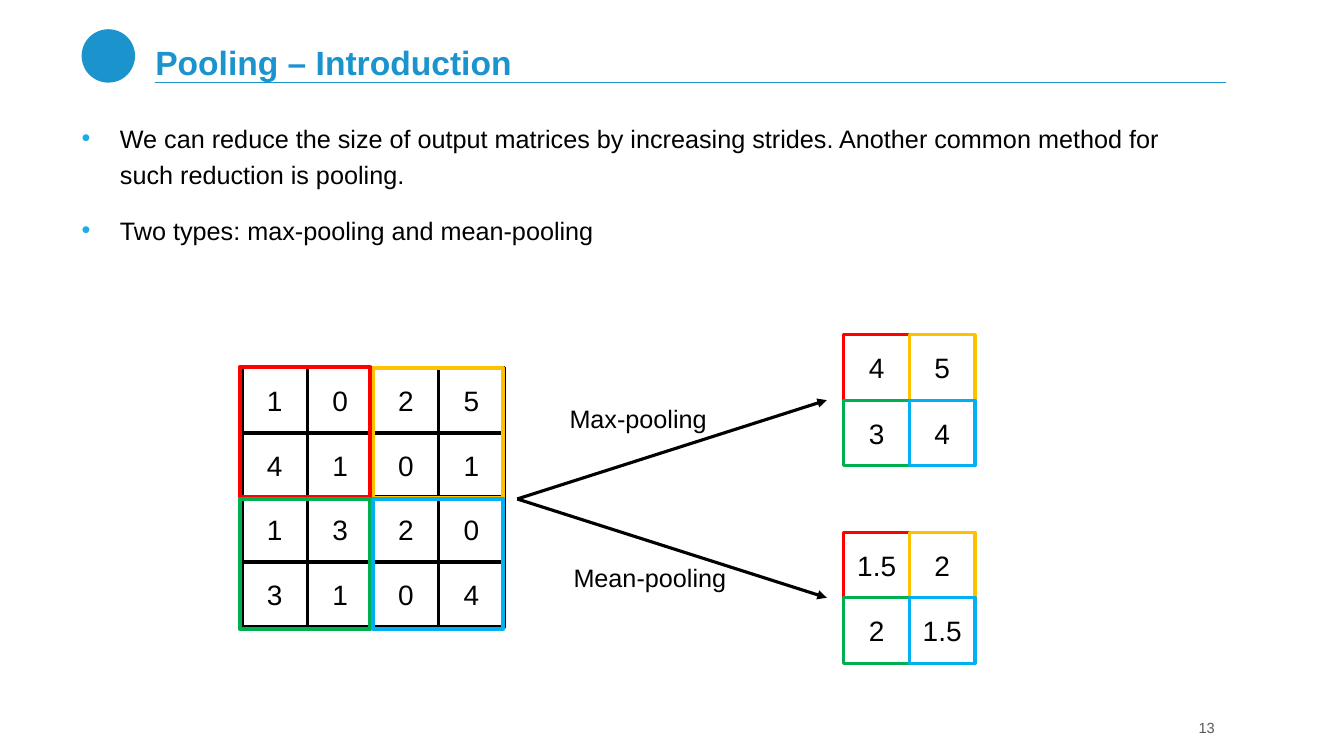
from dataclasses import dataclass

import pptx
import pptx.dml.color
import pptx.enum.shapes
import pptx.enum.text
import pptx.oxml
import pptx.oxml.ns
import pptx.util

PX = 9144  # EMU per px, 100 px to the inch
SHAPE = pptx.enum.shapes.MSO_SHAPE
ALIGN = pptx.enum.text.PP_ALIGN
ANCHOR = pptx.enum.text.MSO_ANCHOR


@dataclass(frozen=True)
class Theme:
    font: str = "Arial"
    accent: str = "1B94CD"
    bullet: str = "1CADE4"
    text: str = "000000"
    muted: str = "595959"
    red: str = "FF0000"
    amber: str = "FFC000"
    green: str = "00B050"
    blue: str = "00B0F0"
    title_size: float = 24
    body_size: float = 18
    cell_size: float = 20
    number_size: float = 10.5
    line: float = 2.25
    region_line: float = 3


T = Theme()
CELL = 65
ROW_PITCH = 64
REGION = 129
INPUT = [[1, 0, 2, 5], [4, 1, 0, 1], [1, 3, 2, 0], [3, 1, 0, 4]]
REGIONS = [(370, 365, T.amber), (238, 364, T.red), (238, 495, T.green), (370, 495, T.blue)]
QUADRANTS = [[T.red, T.amber], [T.green, T.blue]]
BULLETS = [
    "We can reduce the size of output matrices by increasing strides. "
    "Another common method for such reduction is pooling.",
    "Two types: max-pooling and mean-pooling",
]


def px(*lengths):
    return [pptx.util.Emu(n * PX) for n in lengths]


def rgb(color):
    return pptx.dml.color.RGBColor.from_string(color)


def xml(tag, attrs="", inner=""):
    return pptx.oxml.parse_xml(f"<a:{tag} {pptx.oxml.ns.nsdecls('a')} {attrs}>{inner}</a:{tag}>")


def write(p, text, size=T.body_size, color=T.text, bold=False, align=ALIGN.LEFT, spacing=None):
    p.alignment = align
    if spacing:
        p.line_spacing = spacing
    r = p.add_run()
    r.text = text
    r.font.name, r.font.size, r.font.bold = T.font, pptx.util.Pt(size), bold
    r.font.color.rgb = rgb(color)


def place(sp, left, top, width, height):
    sp.left, sp.top, sp.width, sp.height = px(left, top, width, height)


def add_title(s, text):
    sp = s.shapes.title
    place(sp, 154, 49, 1062, 32)
    tf = sp.text_frame
    tf.auto_size = pptx.enum.text.MSO_AUTO_SIZE.NONE
    tf.vertical_anchor = ANCHOR.BOTTOM
    tf.margin_left = tf.margin_right = tf.margin_top = tf.margin_bottom = 0
    write(tf.paragraphs[0], text, size=T.title_size, color=T.accent, bold=True, spacing=0.8)


def add_bullets(s, items):
    sp = s.placeholders[1]
    place(sp, 71, 111, 1145, 579)
    tf = sp.text_frame
    tf.auto_size = pptx.enum.text.MSO_AUTO_SIZE.NONE
    for i, item in enumerate(items):
        p = tf.add_paragraph() if i else tf.paragraphs[0]
        pPr = p._p.get_or_add_pPr()
        indent, = px(38)
        pPr.set("marL", str(indent))
        pPr.set("indent", str(-indent))
        pPr.append(xml("buClr", inner=f'<a:srgbClr val="{T.bullet}"/>'))
        pPr.append(xml("buFont", f'typeface="{T.font}"'))
        pPr.append(xml("buChar", 'char="•"'))
        p.space_before = pptx.util.Pt(12 if i else 0)
        p.space_after = pptx.util.Pt(2)
        write(p, item, spacing=1.2)


def add_label(s, text, left, top, width, height, wrap=True, **fmt):
    tf = s.shapes.add_textbox(*px(left, top, width, height)).text_frame
    tf.word_wrap = wrap
    write(tf.paragraphs[0], text, **fmt)


def add_outline(s, left, top, size, color, weight, text=""):
    """Add an unfilled square, with centred text if given."""
    sp = s.shapes.add_shape(SHAPE.RECTANGLE, *px(left, top, size, size))
    sp.shadow.inherit = False
    sp.fill.background()
    sp.line.color.rgb = rgb(color)
    sp.line.width = pptx.util.Pt(weight)
    if text:
        sp.text_frame.vertical_anchor = ANCHOR.MIDDLE
        write(sp.text_frame.paragraphs[0], text, size=T.cell_size, align=ALIGN.CENTER)


def add_matrix(s, left, top, values, colors=None, row_pitch=CELL):
    for i, row in enumerate(values):
        for j, value in enumerate(row):
            color = colors[i][j] if colors else T.text
            add_outline(s, left + j * CELL, top + i * row_pitch, CELL, color, T.line, str(value))


def add_line(s, x1, y1, x2, y2, color, weight, arrow=False):
    cn = s.shapes.add_connector(pptx.enum.shapes.MSO_CONNECTOR.STRAIGHT, *px(x1, y1, x2, y2))
    cn.line.color.rgb = rgb(color)
    cn.line.width = pptx.util.Pt(weight)
    if arrow:
        cn.line._get_or_add_ln().append(xml("tailEnd", 'type="triangle"'))
    cn._element.spPr.append(xml("effectLst"))


def add_header(s):
    add_line(s, 154, 82, 1216, 82, T.accent, 1)
    dot = s.shapes.add_shape(SHAPE.OVAL, *px(81, 29, 53, 53))
    dot.shadow.inherit = False
    dot.fill.solid()
    dot.fill.fore_color.rgb = rgb(T.accent)
    dot.line.fill.background()
    add_title(s, "Pooling – Introduction")


def add_pooling(s, top, values, label, label_box):
    """Add one result matrix with its arrow and label."""
    add_matrix(s, 837, top, values, colors=QUADRANTS)
    add_line(s, 513, 495, 820, top + CELL, T.text, T.line, arrow=True)
    add_label(s, label, *label_box)


def main():
    prs = pptx.Presentation()
    prs.slide_width, prs.slide_height = px(1333, 750)
    s = prs.slides.add_slide(prs.slide_layouts[1])
    add_header(s)
    add_bullets(s, BULLETS)
    add_matrix(s, 240, 365, INPUT, row_pitch=ROW_PITCH)
    for left, top, color in REGIONS:
        add_outline(s, left, top, REGION, color, T.region_line)
    add_pooling(s, 332, [[4, 5], [3, 4]], "Max-pooling", (555, 395, 161, 40))
    add_pooling(s, 528, [[1.5, 2], [2, 1.5]], "Mean-pooling", (559, 553, 177, 40))
    add_label(s, "13", 1179, 708, 37, 27, wrap=False, size=T.number_size, color=T.muted)
    prs.save("out.pptx")


if __name__ == "__main__":
    main()
